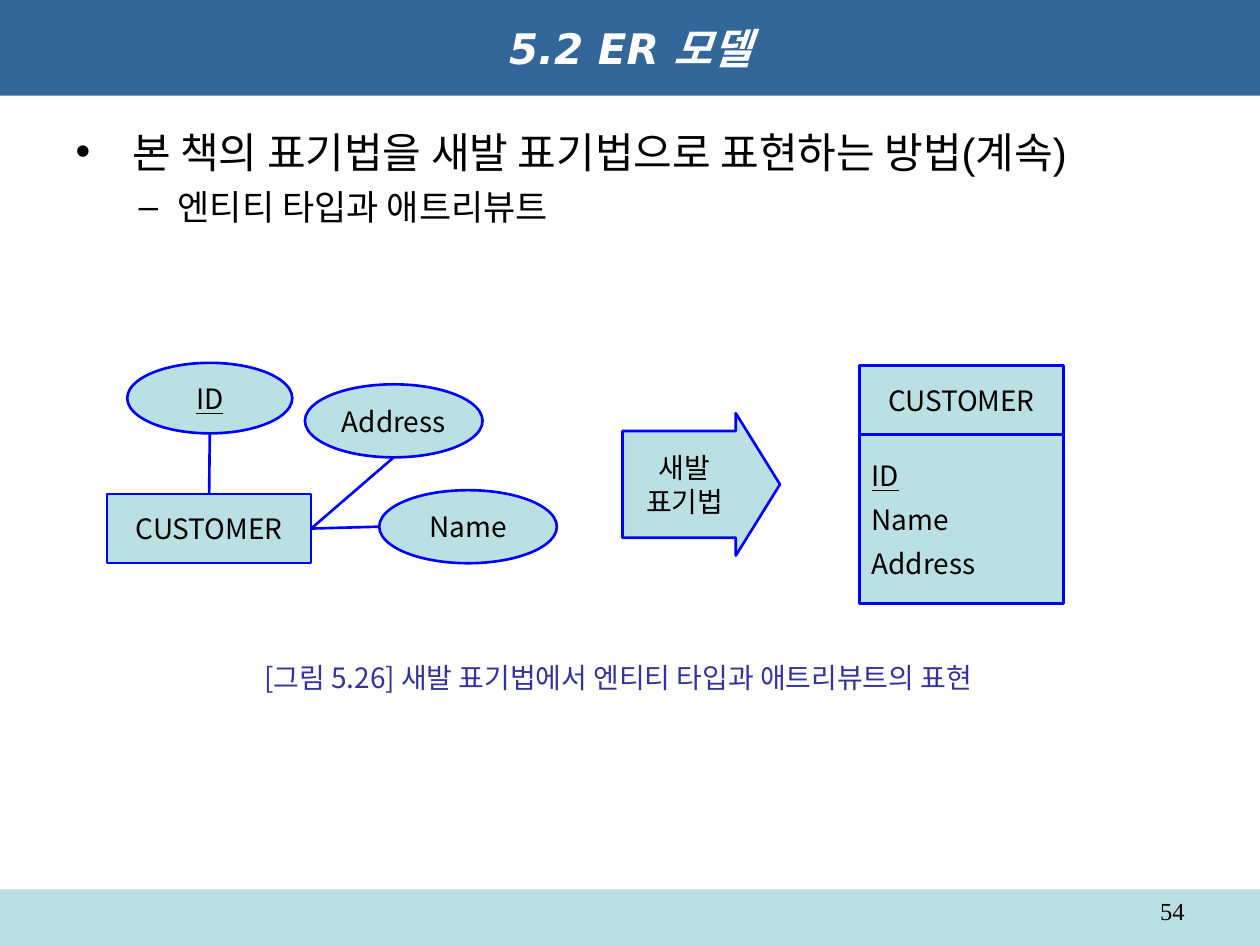
import pptx
import pptx.util
import pptx.dml.color
import pptx.enum.shapes
import pptx.enum.text
from lxml import etree
from pptx.oxml.ns import qn
from pptx.util import Inches

COLORS = {
    "header": "336699",
    "pale": "BBE0E3",
    "outline": "0000FF",
    "caption": "333399",
    "text": "000000",
    "white": "FFFFFF",
}
LABEL_FONT = "Noto Sans CJK JP"
KOREAN_FONT = "Noto Sans CJK KR"
SHAPES = pptx.enum.shapes.MSO_SHAPE
ALIGN = pptx.enum.text.PP_ALIGN
ANCHOR = pptx.enum.text.MSO_ANCHOR


def rgb(name):
    return pptx.dml.color.RGBColor.from_string(COLORS[name])


def add_run(paragraph, text, size=16, font=LABEL_FONT, color="text", **styles):
    """Add one run; styles are font switches such as bold or underline."""
    run = paragraph.add_run()
    run.text = text
    run.font.size = pptx.util.Pt(size)
    run.font.name = font
    run.font.color.rgb = rgb(color)
    for style, value in styles.items():
        setattr(run.font, style, value)
    east_asian = etree.SubElement(run.font._element, qn("a:ea"))
    east_asian.set("typeface", KOREAN_FONT)
    return run


def next_paragraph(frame, index):
    return frame.paragraphs[0] if index == 0 else frame.add_paragraph()


def place(shape, left, top, width, height):
    shape.left, shape.top = Inches(left), Inches(top)
    shape.width, shape.height = Inches(width), Inches(height)


def add_node(slide, kind, box, lines=(), key=None, align=ALIGN.CENTER, gap=0):
    """Add an outlined pale shape; the line equal to key is underlined."""
    shape = slide.shapes.add_shape(kind, *map(Inches, box))
    shape.shadow.inherit = False
    shape.fill.solid()
    shape.fill.fore_color.rgb = rgb("pale")
    shape.line.color.rgb = rgb("outline")
    shape.line.width = pptx.util.Pt(1.5)
    frame = shape.text_frame
    frame.word_wrap = False
    frame.vertical_anchor = ANCHOR.MIDDLE
    for index, line in enumerate(lines):
        paragraph = next_paragraph(frame, index)
        paragraph.alignment = align
        paragraph.space_before = pptx.util.Pt(gap if index else 0)
        paragraph.space_after = pptx.util.Pt(gap)
        add_run(paragraph, line, underline=line == key)
    return shape


def link(slide, entity, site, x, y):
    """Join a side of the entity rectangle to a point on an attribute."""
    connector = slide.shapes.add_connector(
        pptx.enum.shapes.MSO_CONNECTOR.STRAIGHT, x, y, x, y)
    connector.end_connect(entity, site)
    connector.line.color.rgb = rgb("outline")
    connector.line.width = pptx.util.Pt(1.5)
    etree.SubElement(connector._element.spPr, qn("a:effectLst"))


def add_title(slide, box):
    title = slide.shapes.title
    place(title, *box)
    title.fill.solid()
    title.fill.fore_color.rgb = rgb("header")
    frame = title.text_frame
    frame.auto_size = pptx.enum.text.MSO_AUTO_SIZE.NONE
    frame.vertical_anchor = ANCHOR.MIDDLE
    paragraph = frame.paragraphs[0]
    paragraph.alignment = ALIGN.CENTER
    add_run(paragraph, "5.2 ER 모델", 24, "DejaVu Sans", "white",
            bold=True, italic=True)


def add_body(slide, box):
    body = slide.placeholders[1]
    place(body, *box)
    frame = body.text_frame
    frame.auto_size = pptx.enum.text.MSO_AUTO_SIZE.NONE
    items = [
        ("본 책의 표기법을 새발 표기법으로 표현하는 방법(계속)", 24, 0.45, 0.45, 0),
        ("엔티티 타입과 애트리뷰트", 20, 0.81, 0.31, 5),
    ]
    for level, (text, size, margin, hanging, before) in enumerate(items):
        paragraph = next_paragraph(frame, level)
        paragraph.level = level
        paragraph.space_before = pptx.util.Pt(before)
        properties = paragraph._p.get_or_add_pPr()
        properties.set("marL", str(Inches(margin)))
        properties.set("indent", str(-Inches(hanging)))
        add_run(paragraph, text, size, "Arial")


def add_er_diagram(slide, left, top):
    """Draw the CUSTOMER entity with its three attributes."""
    entity = add_node(slide, SHAPES.RECTANGLE, (left, top + 1.04, 1.62, 0.55),
                      ["CUSTOMER"])
    identifier, address, name = [
        add_node(slide, SHAPES.OVAL, (left + x, top + y, width, height),
                 [label], key="ID")
        for label, x, y, width, height in [
            ("ID", 0.16, 0, 1.31, 0.56),
            ("Address", 1.57, 0.17, 1.41, 0.58),
            ("Name", 2.16, 1.01, 1.41, 0.58),
        ]
    ]
    for attribute, site in [(identifier, 0), (address, 3)]:
        link(slide, entity, site, attribute.left + attribute.width // 2,
             attribute.top + attribute.height)
    link(slide, entity, 3, name.left, name.top + name.height // 2)


def add_crow_foot_entity(slide, left, top):
    """Draw the entity as a heading box above its attribute list."""
    width, heading = 1.62, 0.55
    add_node(slide, SHAPES.RECTANGLE, (left, top, width, heading), ["CUSTOMER"])
    add_node(slide, SHAPES.RECTANGLE, (left, top + heading, width, 1.34),
             ["ID", "Name", "Address"], key="ID", align=ALIGN.LEFT, gap=3)


def add_arrow(slide, box):
    arrow = add_node(slide, SHAPES.RIGHT_ARROW, box, ["새발", "표기법"])
    arrow.adjustments[0] = 0.75
    arrow.adjustments[1] = 0.31


def add_text(slide, box, text, wrap, align, anchor, **run_format):
    text_box = slide.shapes.add_textbox(*map(Inches, box))
    frame = text_box.text_frame
    frame.word_wrap = wrap
    frame.vertical_anchor = anchor
    paragraph = frame.paragraphs[0]
    paragraph.alignment = align
    add_run(paragraph, text, **run_format)


def add_footer(slide, box):
    left, top, width, _ = box
    bar = add_node(slide, SHAPES.RECTANGLE, box)
    bar.line.fill.background()
    add_text(slide, (left + width - 2.83, top, 2.33, 0.29), "54", True,
             ALIGN.RIGHT, ANCHOR.TOP, size=14, font="Times New Roman")


def main():
    presentation = pptx.Presentation()
    presentation.slide_width, presentation.slide_height = Inches(10), Inches(7.5)
    slide = presentation.slides.add_slide(presentation.slide_layouts[1])
    add_footer(slide, (0, 7.06, 10, 0.44))
    add_title(slide, (0, 0, 10, 0.76))
    add_body(slide, (0.5, 0.95, 9, 5.95))
    add_er_diagram(slide, 0.85, 2.88)
    add_crow_foot_entity(slide, 6.82, 2.9)
    add_arrow(slide, (4.94, 3.28, 1.25, 1.13))
    add_text(slide, (2, 5.19, 6.34, 0.37),
             "[그림 5.26] 새발 표기법에서 엔티티 타입과 애트리뷰트의 표현", False,
             ALIGN.LEFT, ANCHOR.MIDDLE, font=KOREAN_FONT, color="caption")
    presentation.save("out.pptx")


if __name__ == "__main__":
    main()
